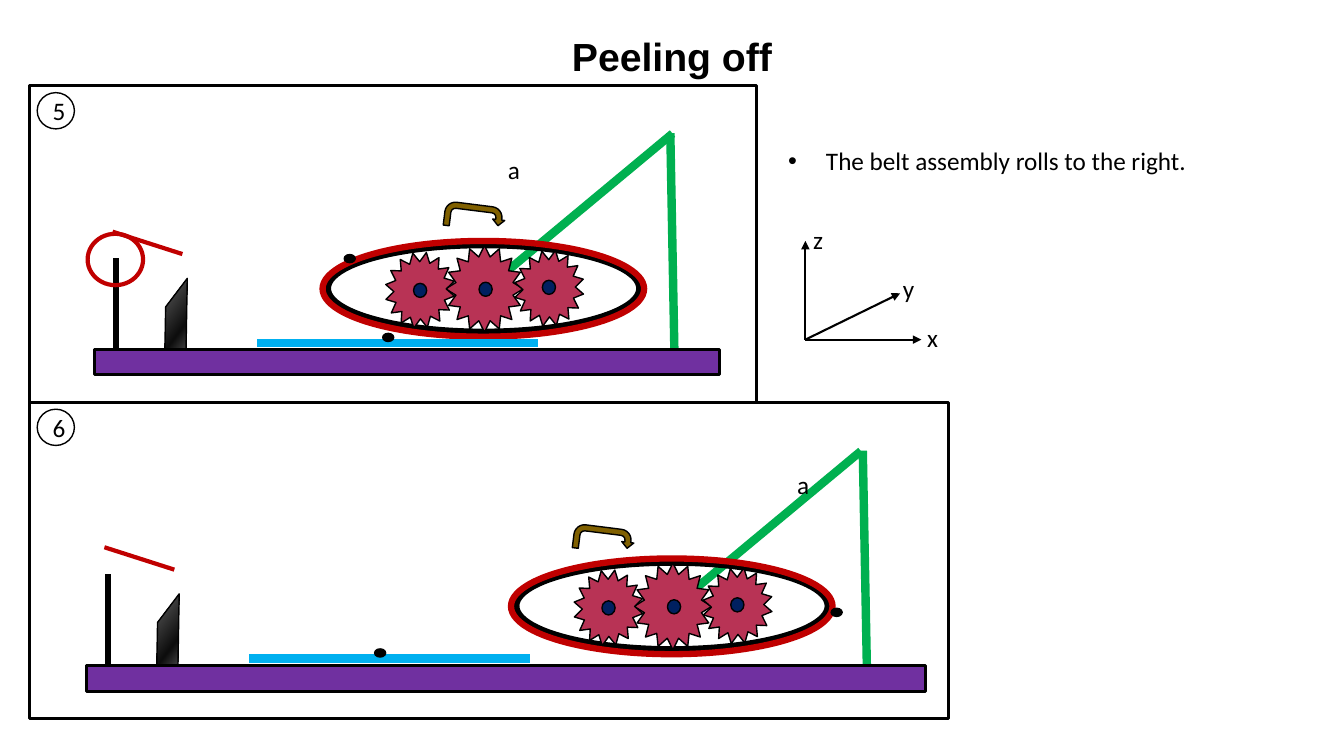
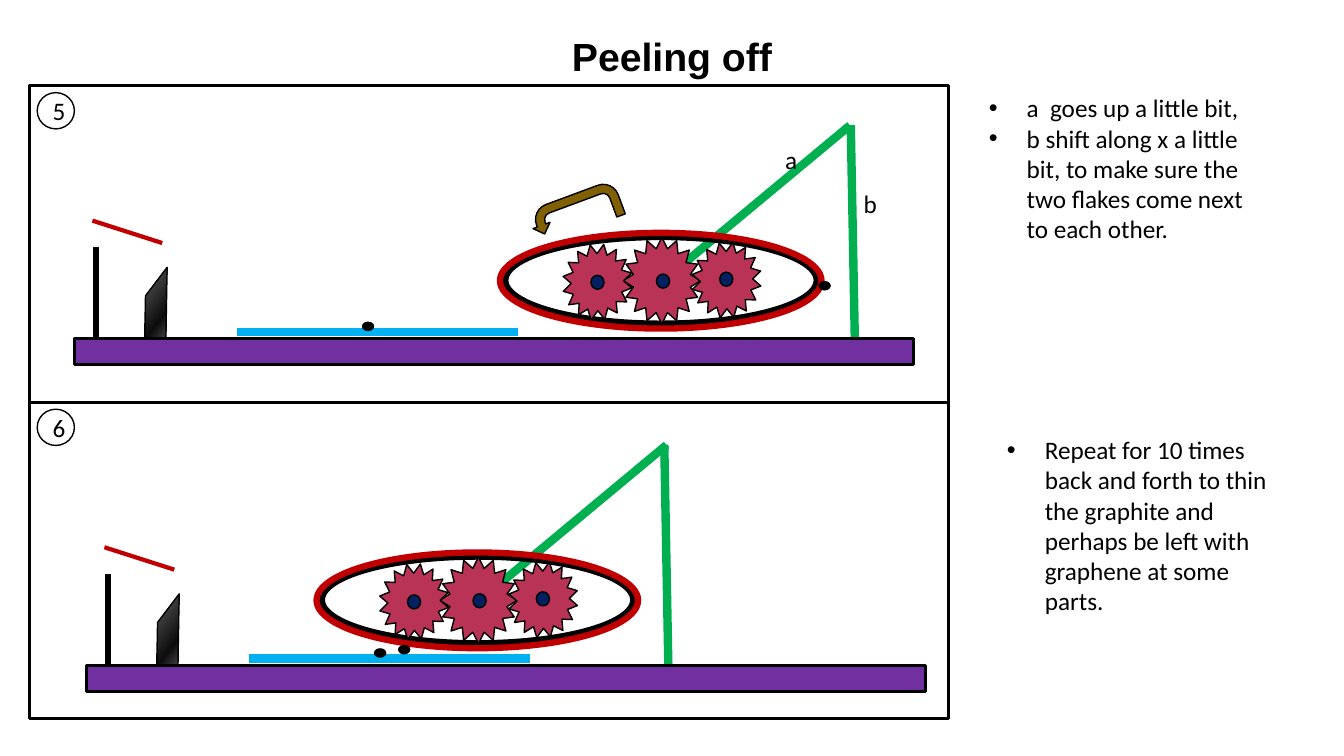
from collections import namedtuple
from copy import deepcopy

from lxml.etree import SubElement
from pptx import Presentation
from pptx.dml.color import RGBColor
from pptx.enum.shapes import MSO_CONNECTOR, MSO_SHAPE as SHAPE
from pptx.enum.text import MSO_ANCHOR, MSO_AUTO_SIZE, PP_ALIGN
from pptx.oxml.ns import qn
from pptx.util import Pt

BLACK = RGBColor(0x00, 0x00, 0x00)
RED = RGBColor(0xC0, 0x00, 0x00)
GREEN = RGBColor(0x00, 0xB0, 0x50)
PURPLE = RGBColor(0x70, 0x30, 0xA0)
SKY = RGBColor(0x00, 0xB0, 0xF0)
CRIMSON = RGBColor(0xB8, 0x33, 0x55)
NAVY = RGBColor(0x00, 0x20, 0x60)
BROWN = RGBColor(0x80, 0x60, 0x00)
BLADE_STOPS = [
    (0, RGBColor(0x80, 0x80, 0x80)),
    (0.5, RGBColor(0x0D, 0x0D, 0x0D)),
    (1, RGBColor(0xD9, 0xD9, 0xD9)),
]

FRAME_LEFT, FRAME_HEIGHT = 20.9, 226.1
BELT_SIZE = (229.7, 68.4)
DOT_SIZE = (7.9, 5.8)
GEARS = [
    (88, 3.3, 55.4, 61.9, 0),
    (44.8, 7.9, 49.7, 54.7, 9.5),
    (137, 6.5, 49.7, 54.7, 9.5),
]
HUBS = [(65, 30.3), (157, 28.1), (111.8, 29.5)]

Panel = namedtuple("Panel", "number top width bed belt post_x belt_dot turn labels")
Turn = namedtuple("Turn", "left top width height angle mirrored")
Page = namedtuple("Page", "layout panels lists")

PAGES = [
    Page(1, [
        Panel("5", 61.2, 519.8, (67.7, 249.8, 446.4, 18), (230.4, 172.1), 248.4,
              (249.8, 184.7), Turn(317.5, 146.2, 43.2, 17.3, 7.1, False),
              [("a", 355.7, 106.6)]),
        Panel("6", 287.3, 656.6, (61.9, 475.2, 599, 18.7), (365, 398.9), 251.3,
              (597.6, 437.4), Turn(409.7, 376.6, 43.2, 17.3, 7.1, False),
              [("a", 562.3, 331.9)]),
    ], [
        ((555.8, 100.1, 310, 51.1), ["The belt assembly rolls to the right."]),
    ]),
    Page(3, [
        Panel("5", 61.2, 656.6, (53.3, 241.9, 599, 18.7), (357.1, 166.3), 250.6,
              (589, 204.1), Turn(378.7, 139, 65.5, 25.9, 339.7, True),
              [("a", 553.7, 99.4), ("b", 609.8, 131)]),
        Panel("6", 287.3, 656.6, (61.9, 475.2, 599, 18.7), (226.1, 394.6), 248.4,
              (288.7, 464), None, []),
    ], [
        ((699.1, 62.6, 211, 116.6), [
            "a  goes up a little bit,",
            "b shift along x a little bit, to make sure the two flakes come next to each other.",
        ]),
        ((712.1, 306.7, 211, 138.2), [
            "Repeat for 10 times back and forth to thin the graphite and perhaps be left"
            " with graphene at some parts.",
        ]),
    ]),
]

AXIS_ORIGIN = (575.3, 242.6)
AXES = [
    ("x", (658.1, 242.6), (655.2, 226.8)),
    ("y", (643, 209.5), (637.9, 191.5)),
    ("z", (575.3, 172.1), (573.8, 157)),
]


def draw(shapes, kind, box, fill=None, line=BLACK, weight=1, angle=0):
    shape = shapes.add_shape(kind, *map(Pt, box))
    shape.shadow.inherit = False
    shape.rotation = angle
    if fill is None:
        shape.fill.background()
    else:
        shape.fill.solid()
        shape.fill.fore_color.rgb = fill
    shape.line.color.rgb = line
    shape.line.width = Pt(weight)
    return shape


def connect(shapes, start, end, color, weight, arrow=False):
    connector = shapes.add_connector(MSO_CONNECTOR.STRAIGHT, *map(Pt, (*start, *end)))
    connector.line.color.rgb = color
    connector.line.width = Pt(weight)
    properties = connector._element.spPr
    if arrow:
        SubElement(properties.find(qn("a:ln")), qn("a:tailEnd"), type="triangle")
    SubElement(properties, qn("a:effectLst"))


deck = Presentation()
deck.slide_width, deck.slide_height = Pt(960), Pt(540)

for page_index, page in enumerate(PAGES):
    slide = deck.slides.add_slide(deck.slide_layouts[page.layout])
    shapes = slide.shapes
    title, *bodies = slide.placeholders
    title.text_frame.text = "Peeling off"
    title.left, title.top, title.width, title.height = map(Pt, (0, 19.4, 960, 41))

    for body, (box, points) in zip(bodies, page.lists):
        body.left, body.top, body.width, body.height = map(Pt, box)
        body.text_frame.text = "\n".join(points)
        body.text_frame.auto_size = MSO_AUTO_SIZE.NONE
        body.text_frame.vertical_anchor = MSO_ANCHOR.TOP
        for paragraph in body.text_frame.paragraphs:
            paragraph.space_before = Pt(0)

    labels = []
    for panel in page.panels:
        bed_x, bed_y, _, _ = panel.bed
        belt_x, belt_y = panel.belt
        post_top = (belt_x + panel.post_x, belt_y - 77)
        post_foot = (post_top[0] + 2.9, bed_y)

        connect(shapes, post_foot, post_top, GREEN, 6)
        draw(shapes, SHAPE.RECTANGLE, (FRAME_LEFT, panel.top, panel.width, FRAME_HEIGHT), weight=2.25)
        badge = draw(shapes, SHAPE.OVAL, (26.6, panel.top + 5, 26.6, 25.9))
        badge.text_frame.text = panel.number

        blade = draw(shapes, SHAPE.DIAGONAL_STRIPE, (bed_x + 40, bed_y - 38, 51.1, 37.4), angle=307.2)
        blade.fill.gradient()
        blade.fill.gradient_angle = 270
        stop_list = blade._element.spPr.find(qn("a:gradFill")).find(qn("a:gsLst"))
        stop_list.append(deepcopy(stop_list[0]))
        for stop, (position, color) in zip(blade.fill.gradient_stops, BLADE_STOPS):
            stop.position = position
            stop.color.rgb = color

        connect(shapes, (belt_x + 120.5, belt_y + 31), (belt_x + 250, belt_y - 76.7), GREEN, 6)
        draw(shapes, SHAPE.RECTANGLE, panel.bed, PURPLE, weight=2.25)
        connect(shapes, (bed_x + 15.1, bed_y - 1), (bed_x + 15.1, bed_y - 65.2), BLACK, 4.5)

        drive = shapes.add_group_shape().shapes
        draw(drive, SHAPE.OVAL, (belt_x + 3.8, belt_y + 3, 222.5, 61.9), weight=4.5)
        for x, y, width, height, angle in GEARS:
            draw(drive, SHAPE.STAR_16_POINT, (belt_x + x, belt_y + y, width, height), CRIMSON, angle=angle)
        for x, y in HUBS:
            draw(drive, SHAPE.OVAL, (belt_x + x, belt_y + y, 9.4, 10.1), NAVY)

        draw(shapes, SHAPE.OVAL, (*panel.belt, *BELT_SIZE), line=RED, weight=4.5)
        connect(shapes, (bed_x + 12.7, bed_y - 84.3), (bed_x + 62.6, bed_y - 68.3), RED, 3)
        connect(shapes, (bed_x + 116.2, bed_y - 4.8), (bed_x + 316.8, bed_y - 4.8), SKY, 6)
        for x, y in [(bed_x + 209.6, bed_y - 8.8), panel.belt_dot]:
            width, height = DOT_SIZE
            draw(shapes, SHAPE.OVAL, (x - width / 2, y - height / 2, width, height), BLACK)
        if panel.turn:
            turn = draw(shapes, SHAPE.U_TURN_ARROW, panel.turn[:4], BROWN, angle=panel.turn.angle)
            if panel.turn.mirrored:
                turn._element.spPr.find(qn("a:xfrm")).set("flipH", "1")
        labels += panel.labels

    if page_index == 0:
        draw(shapes, SHAPE.OVAL, (62.6, 167, 39.6, 36.7), line=RED, weight=3)
        for axis, tip, (x, y) in AXES:
            connect(shapes, AXIS_ORIGIN, tip, BLACK, 1.5, arrow=True)
            labels.append((axis, x, y))

    for text, x, y in labels:
        label = shapes.add_textbox(*map(Pt, (x, y, 23, 28.8)))
        label.text_frame.text = text

    for shape in shapes:
        if shape.has_text_frame:
            for paragraph in shape.text_frame.paragraphs:
                for run in paragraph.runs:
                    run.font.name = "Calibri"
                    run.font.size = Pt(18)
                    run.font.color.rgb = BLACK

    heading = title.text_frame.paragraphs[0]
    heading.alignment = PP_ALIGN.CENTER
    heading_font = heading.runs[0].font
    heading_font.name, heading_font.size, heading_font.bold = "Arial", Pt(28), True

deck.save("out.pptx")
